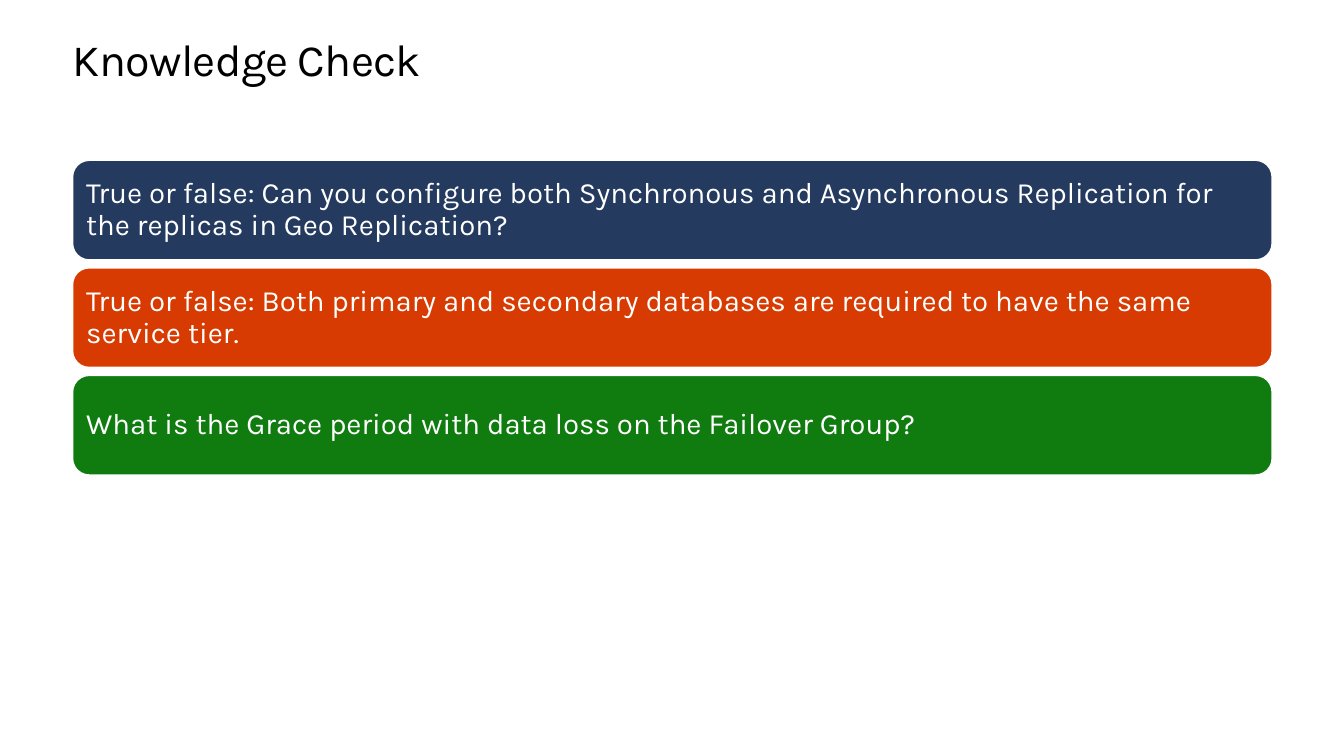
from pptx import Presentation
from pptx.dml.color import RGBColor
from pptx.enum.shapes import MSO_SHAPE
from pptx.enum.text import MSO_ANCHOR, PP_ALIGN
from pptx.util import Cm, Pt

NAVY = RGBColor(0x24, 0x3A, 0x5E)
ORANGE = RGBColor(0xD8, 0x3B, 0x01)
GREEN = RGBColor(0x10, 0x7C, 0x10)
WHITE = RGBColor(0xFF, 0xFF, 0xFF)
BLACK = RGBColor(0, 0, 0)
FONT = "Karla"

TITLE = "Knowledge Check"
QUESTIONS = [
    ("True or false: Can you configure both Synchronous and Asynchronous "
     "Replication for the replicas in Geo Replication?", NAVY),
    ("True or false: Both primary and secondary databases are required "
     "to have the same service tier.", ORANGE),
    ("What is the Grace period with data loss on the Failover Group?", GREEN),
]

LEFT, WIDTH = Cm(1.83), Cm(30.23)
TITLE_TOP, TITLE_HEIGHT = Cm(0.89), Cm(1.27)
FIRST_TOP, BAR_HEIGHT, GAP = Cm(4.04), Cm(2.51), Cm(0.2)


def write(shape, text, size, color, line_spacing, inset):
    frame = shape.text_frame
    frame.word_wrap = True
    frame.margin_left = frame.margin_right = inset
    frame.margin_top = frame.margin_bottom = inset
    para = frame.paragraphs[0]
    para.alignment = PP_ALIGN.LEFT
    para.line_spacing = line_spacing
    para.font.name = FONT
    para.font.size = Pt(size)
    para.font.color.rgb = color
    span = para.add_run()
    span.text = text
    return span


def add_title(page):
    box = page.shapes.add_textbox(LEFT, TITLE_TOP, WIDTH, TITLE_HEIGHT)
    span = write(box, TITLE, 32, BLACK, Pt(36.2), 0)
    span.font._element.set("spc", "-50")


def add_question(page, index, text, color):
    top = FIRST_TOP + index * (BAR_HEIGHT + GAP)
    bar = page.shapes.add_shape(
        MSO_SHAPE.ROUNDED_RECTANGLE, LEFT, top, WIDTH, BAR_HEIGHT)
    bar.shadow.inherit = False
    bar.fill.solid()
    bar.fill.fore_color.rgb = color
    bar.line.color.rgb = WHITE
    bar.line.width = Pt(1)
    bar.text_frame.vertical_anchor = MSO_ANCHOR.MIDDLE
    write(bar, text, 21, WHITE, 0.9, Cm(0.22))


def main():
    deck = Presentation()
    deck.slide_width, deck.slide_height = Cm(33.87), Cm(19.05)
    page = deck.slides.add_slide(deck.slide_layouts[6])
    add_title(page)
    for index, (text, color) in enumerate(QUESTIONS):
        add_question(page, index, text, color)
    deck.save("out.pptx")


if __name__ == "__main__":
    main()
